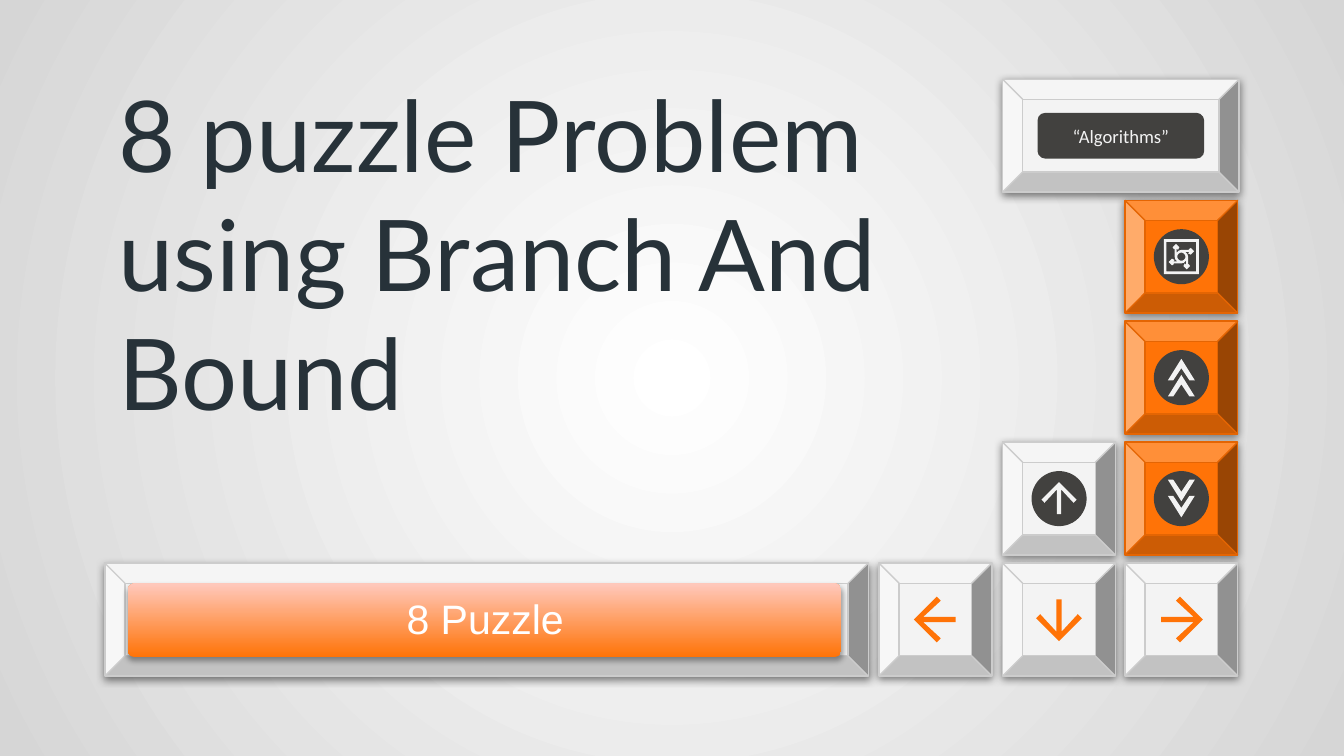
import math

import pptx
import pptx.dml.color
import pptx.enum.shapes
import pptx.enum.text
import pptx.oxml
import pptx.oxml.ns
import pptx.util

Inches = pptx.util.Inches
Pt = pptx.util.Pt
Shape = pptx.enum.shapes.MSO_SHAPE
Align = pptx.enum.text.PP_ALIGN
Anchor = pptx.enum.text.MSO_ANCHOR

THEME = {
    "orange": "FF7307", "orange_line": "E46503", "peach": "FFC9BD",
    "light": "F3F3F3", "light_line": "CCCCCC", "dark": "42413F",
    "ink": "273239", "white": "FFFFFF", "edge": "D6D6D6",
    "title_size": 53, "bar_size": 22, "tag_size": 10,
    "title_font": "Lato", "bar_font": "Arial", "tag_font": "Calibri",
}

TITLE = "8 puzzle Problem using Branch And Bound"
BAR_TEXT = "8 Puzzle"
TAG_TEXT = "“Algorithms”"

KEY, BADGE = 0.84, 0.41
COLUMN_LEFTS = [6.54, 7.46, 8.37]
GRID_TOP, ROW_PITCH = 0.59, 0.9

# column, row, key colour, icon, turn in degrees, icon scale, badge, icon colour
KEYS = [
    (2, 1, "orange", "crop", 0, 1, True, "light"),
    (2, 2, "orange", "chevrons", 0, 1, True, "light"),
    (2, 3, "orange", "chevrons", 180, 1, True, "light"),
    (1, 3, "light", "arrow", -90, 0.77, True, "light"),
    (0, 4, "light", "arrow", 180, 1, False, "orange"),
    (1, 4, "light", "arrow", 90, 1, False, "orange"),
    (2, 4, "light", "arrow", 0, 1, False, "orange"),
]
WIDE_KEYS = [(0.78, 4.19, 5.68), (7.46, 0.59, 1.76)]

ARROW = [(-0.01, -0.17), (-0.04, -0.14), (0.09, -0.02), (-0.15, -0.02), (-0.15, 0.02),
         (0.09, 0.02), (-0.04, 0.14), (-0.01, 0.17), (0.16, 0)]
CHEVRON = [(-0.06, 0.02), (-0.1, 0.02), (0, -0.14), (0.1, 0.02), (0.06, 0.02), (0, -0.07)]
CROP_ARM = [(-3.5, -3), (-3.5, -6), (-2.5, -5), (-1.5, -7), (-4, -9.5), (-6.5, -7),
            (-5.5, -5.5), (-5, -6), (-5, 0), (-4.5, 2)]


def rotate(points, degrees, scale=1):
    cosine, sine = math.cos(math.radians(degrees)), math.sin(math.radians(degrees))
    return [(scale * (x * cosine - y * sine), scale * (x * sine + y * cosine))
            for x, y in points]


def square(half, turn):
    corners = [(-half, -half), (half, -half), (half, half), (-half, half)]
    return corners[::turn]


CROP = [point for turn in range(4) for point in rotate(CROP_ARM, -90 * turn, 0.01)]
HOLE = [point for step in range(24) for point in rotate([(0.03, 0)], 15 * step)]
ICONS = {
    "arrow": [[ARROW]],
    "chevrons": [[CHEVRON], [[(x, y + 0.12) for x, y in CHEVRON]]],
    "crop": [[square(0.11, 1), square(0.13, -1)], [HOLE, CROP]],
}


def color(name):
    return pptx.dml.color.RGBColor.from_string(THEME[name])


def paint(shape, fill, line=None):
    shape.shadow.inherit = False
    shape.fill.solid()
    shape.fill.fore_color.rgb = color(fill)
    if line:
        shape.line.color.rgb = color(line)
        shape.line.width = Pt(0.75)
    else:
        shape.line.fill.background()


def set_gradient(fill, names):
    fill.gradient()
    for stop, name in zip(fill.gradient_stops, names):
        stop.color.rgb = color(name)


def cast_shadow(shape, alpha, blur, distance):
    effects = shape.element.spPr.find(pptx.oxml.ns.qn("a:effectLst"))
    effects.append(pptx.oxml.parse_xml(
        f'<a:outerShdw {pptx.oxml.ns.nsdecls("a")} blurRad="{Pt(blur)}" '
        f'dist="{Pt(distance)}" dir="5400000" algn="bl" rotWithShape="0">'
        f'<a:srgbClr val="000000"><a:alpha val="{alpha * 1000}"/></a:srgbClr></a:outerShdw>'))


def add_shape(slide, kind, left, top, width, height, fill, line=None):
    shape = slide.shapes.add_shape(
        kind, Inches(left), Inches(top), Inches(width), Inches(height))
    paint(shape, fill, line)
    return shape


def add_key(slide, left, top, width, fill):
    key = add_shape(slide, Shape.BEVEL, left, top, width, KEY, fill, fill + "_line")
    key.adjustments[0] = 0.179
    cast_shadow(key, 50, 4.5, 1.5)


def add_outline(slide, contours, center_x, center_y, fill):
    builder = None
    for contour in contours:
        points = [(1000 * (center_x + x), 1000 * (center_y + y)) for x, y in contour]
        if builder is None:
            builder = slide.shapes.build_freeform(*points[0], scale=Inches(1) / 1000)
        else:
            builder.move_to(*points[0])
        builder.add_line_segments(points[1:], close=True)
    paint(builder.convert_to_shape(), fill)


def write(shape, text, role, fill, align, anchor, inset):
    frame = shape.text_frame
    frame.word_wrap = True
    frame.auto_size = pptx.enum.text.MSO_AUTO_SIZE.NONE
    frame.vertical_anchor = anchor
    frame.margin_left = frame.margin_right = Inches(inset)
    frame.margin_top = frame.margin_bottom = Inches(inset)
    frame.text = text
    paragraph = frame.paragraphs[0]
    paragraph.alignment = align
    font = paragraph.runs[0].font
    font.name = THEME[role + "_font"]
    font.size = Pt(THEME[role + "_size"])
    font.color.rgb = color(fill)
    return frame


def set_background(slide):
    set_gradient(slide.background.fill, ("white", "edge"))
    gradient = slide.element.find(".//" + pptx.oxml.ns.qn("a:gradFill"))
    linear = gradient.find(pptx.oxml.ns.qn("a:lin"))
    gradient.replace(linear, pptx.oxml.parse_xml(
        f'<a:path {pptx.oxml.ns.nsdecls("a")} path="circle">'
        '<a:fillToRect l="50000" t="50000" r="50000" b="50000"/></a:path>'))


def main():
    presentation = pptx.Presentation()
    presentation.slide_width = Inches(10)
    presentation.slide_height = Inches(10 * 9 / 16)
    slide = presentation.slides.add_slide(presentation.slide_layouts[5])
    set_background(slide)

    title = slide.shapes.title
    title.left, title.top = Inches(0.78), Inches(0.55)
    title.width, title.height = Inches(6.64), Inches(3.45)
    frame = write(title, TITLE, "title", "ink", Align.LEFT, Anchor.TOP, 0.1)
    frame.margin_top = 0

    for left, top, width in WIDE_KEYS:
        add_key(slide, left, top, width, "light")

    bar = add_shape(slide, Shape.ROUNDED_RECTANGLE, 0.95, 4.34, 5.31, 0.55, "orange")
    bar.adjustments[0] = 0.1
    set_gradient(bar.fill, ("orange", "peach"))
    bar.fill.gradient_angle = 90
    cast_shadow(bar, 35, 3.1, 1.8)
    label = slide.shapes.add_textbox(Inches(0.97), Inches(4.36), Inches(5.28), Inches(0.52))
    frame = write(label, BAR_TEXT, "bar", "white", Align.CENTER, Anchor.MIDDLE, 0.09)
    frame.paragraphs[0].line_spacing = 0.9

    tag = add_shape(slide, Shape.ROUNDED_RECTANGLE, 7.72, 0.84, 1.24, 0.34, "dark")
    write(tag, TAG_TEXT, "tag", "light", Align.CENTER, Anchor.MIDDLE, 0.1)

    for column, row, fill, icon, turn, scale, has_badge, icon_fill in KEYS:
        left, top = COLUMN_LEFTS[column], GRID_TOP + row * ROW_PITCH
        center_x, center_y = left + KEY / 2, top + KEY / 2
        add_key(slide, left, top, KEY, fill)
        if has_badge:
            add_shape(slide, Shape.OVAL, center_x - BADGE / 2, center_y - BADGE / 2,
                      BADGE, BADGE, "dark")
        for contours in ICONS[icon]:
            turned = [rotate(contour, turn, scale) for contour in contours]
            add_outline(slide, turned, center_x, center_y, icon_fill)

    presentation.save("out.pptx")


if __name__ == "__main__":
    main()
